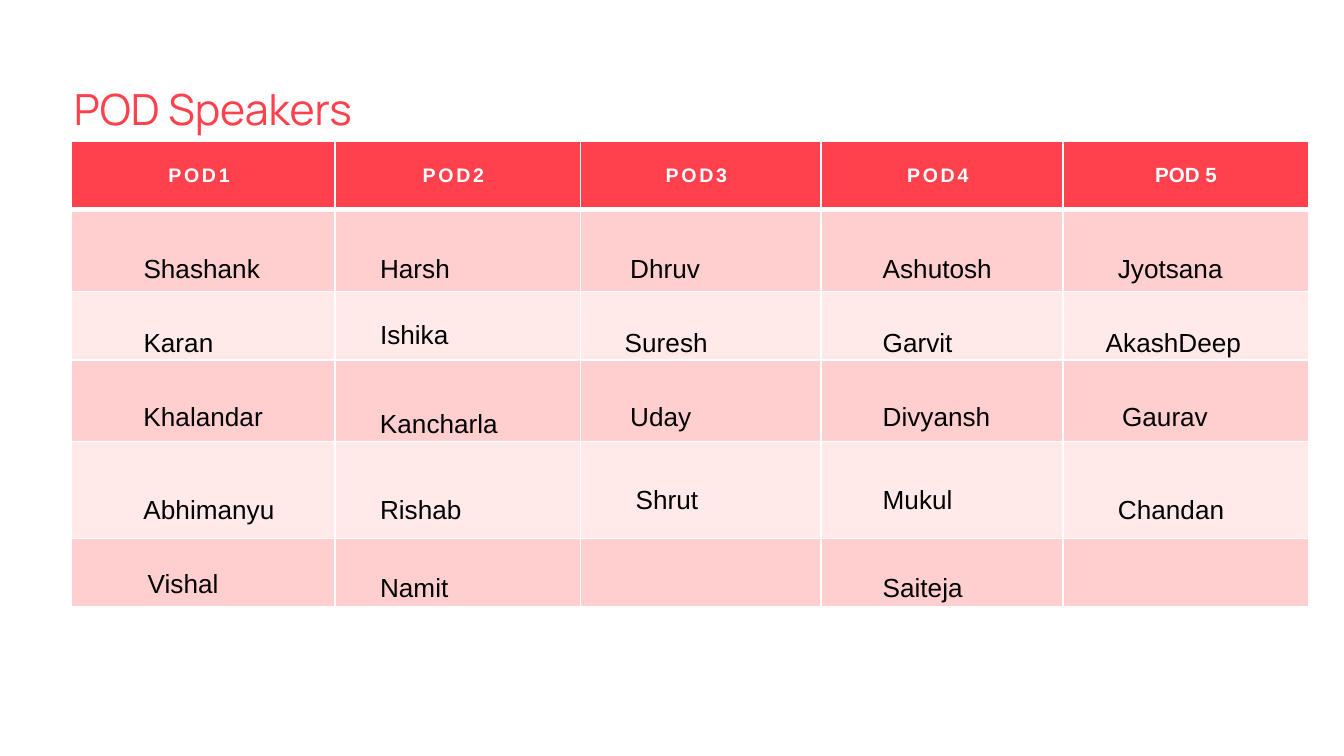
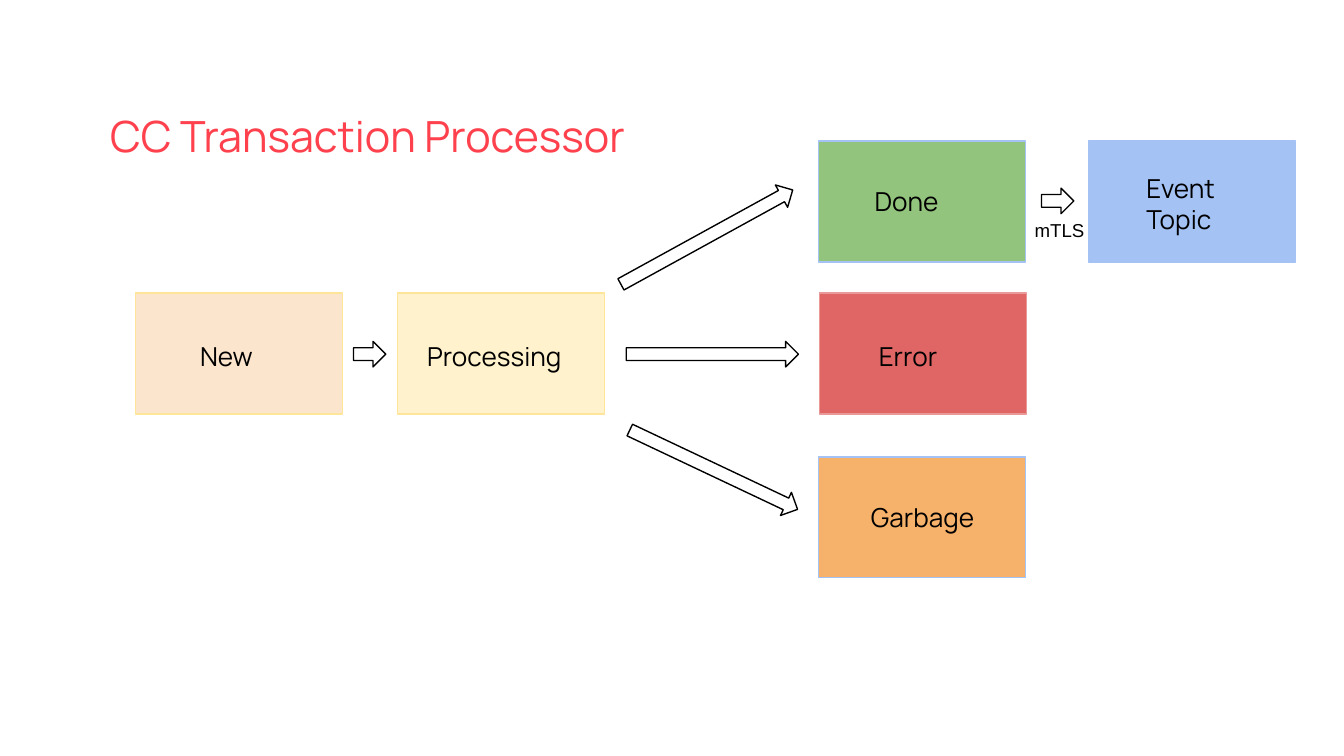
from itertools import accumulate

from lxml import etree
from pptx import Presentation
from pptx.dml.color import RGBColor
from pptx.enum.shapes import MSO_SHAPE
from pptx.enum.text import MSO_ANCHOR, PP_ALIGN
from pptx.oxml.ns import qn
from pptx.util import Pt

RECTANGLE = MSO_SHAPE.RECTANGLE
RIGHT_ARROW = MSO_SHAPE.RIGHT_ARROW
MIDDLE = MSO_ANCHOR.MIDDLE
CENTER = PP_ALIGN.CENTER
BLANK_LAYOUT = 6

COLORS = {
    "red": "FE414D", "band_dark": "FFCFD0", "band_light": "FFE9E9",
    "white": "FFFFFF", "black": "000000",
    "peach": "FCE5CD", "cream": "FFF2CC", "yellow": "FFE599",
    "green": "93C47D", "blue": "A4C2F4", "brick": "E06666",
    "pink": "EA9999", "orange": "F6B26B",
}
TITLE_FONT, BODY_FONT = "Manrope", "Arial"

# Speakers: pod heading -> (left edge of the names, names from top to bottom)
PODS = {
    "POD1": (69.8, ["Shashank", "Karan", "Khalandar", "Abhimanyu", "Vishal"]),
    "POD2": (196.5, ["Harsh", "Ishika", "Kancharla", "Rishab", "Namit"]),
    "POD3": (330.5, ["Dhruv", "Suresh", "Uday", "Shrut"]),
    "POD4": (465.8, ["Ashutosh", "Garvit", "Divyansh", "Mukul", "Saiteja"]),
    "POD 5": (591.8, ["Jyotsana", "AkashDeep", "Gaurav", "Chandan"]),
}
NAME_TOPS = [131.8, 171.4, 211, 260.6, 302.4]
NUDGES = {
    "Vishal": (2.2, -2.2), "Ishika": (0, -4.3), "Kancharla": (0, 3.6),
    "Suresh": (-2.9, 0), "Shrut": (2.9, -5), "Mukul": (0, -5),
    "AkashDeep": (-6.5, 0), "Gaurav": (2.2, 0),
}
TABLE_LEFT, TABLE_TOP = 38.4, 75.8
COLUMN_WIDTHS = [141, 131.6, 128.8, 129.8, 131.6]
ROW_HEIGHTS = [36.6, 43.8, 36.6, 43.8, 52, 36.6]

# Stages: label, left, top, fill, line, label offset (x, y), label width
STAGE_SIZE = (110.9, 64.8)
STAGES = [
    ("New", 72.7, 157, "peach", "yellow", (27.4, 18), 50.4),
    ("Processing", 213.1, 157, "cream", "yellow", (8.6, 18), 98.6),
    ("Done", 438.5, 75.6, "green", "blue", (23, 16.6), 64),
    ("Error", 439.2, 157, "brick", "pink", (24.5, 18), 60),
    ("Garbage", 438.5, 244.8, "orange", "blue", (21, 16.6), 79.2),
    ("Event Topic", 583.2, 75.6, "blue", "blue", (23.8, 9.4), 83.5),
]
# Arrows: left, top, width, rotation
ARROW_HEIGHT = 13.7
ARROWS = [
    (189.4, 182.9, 17.3, 0),
    (335.5, 182.9, 92.2, 0),
    (326.2, 120.2, 105, 331.2),
    (332.6, 244.8, 99.4, 25.3),
    (558, 100.8, 17.3, 0),
]


def color(name):
    return RGBColor.from_string(COLORS[name])


def add_run(paragraph, text, font=BODY_FONT, size=14, fill="black", bold=False, spacing=0):
    run = paragraph.add_run()
    run.text = text
    run.font.name = font
    run.font.size = Pt(size)
    run.font.bold = bold
    run.font.color.rgb = color(fill)
    if spacing:
        run._r.get_or_add_rPr().set("spc", str(int(spacing * 100)))


def add_text(slide, text, left, top, width, height, insets=(7.2, 3.6), line_spacing=None, **style):
    box = slide.shapes.add_textbox(Pt(left), Pt(top), Pt(width), Pt(height))
    frame = box.text_frame
    frame.word_wrap = True
    frame.margin_left = frame.margin_right = Pt(insets[0])
    frame.margin_top = frame.margin_bottom = Pt(insets[1])
    paragraph = frame.paragraphs[0]
    if line_spacing:
        paragraph.line_spacing = line_spacing
    add_run(paragraph, text, **style)


def add_title(slide, text, left, top, width):
    add_text(slide, text, left, top, width, 40, insets=(0, 0), line_spacing=1.83,
             font=TITLE_FONT, size=23, fill="red")


def add_shape(slide, kind, left, top, width, height, fill, line):
    shape = slide.shapes.add_shape(kind, Pt(left), Pt(top), Pt(width), Pt(height))
    shape.shadow.inherit = False
    shape.fill.solid()
    shape.fill.fore_color.rgb = color(fill)
    shape.line.color.rgb = color(line)
    shape.line.width = Pt(0.75)
    return shape


def set_borders(cell, **widths):
    """Draw white borders; widths are in points for L, R, T and B."""
    properties = cell._tc.get_or_add_tcPr()
    for side in "LRTB":
        border = etree.SubElement(properties, qn(f"a:ln{side}"), w=str(Pt(widths.get(side, 1))))
        fill = etree.SubElement(border, qn("a:solidFill"))
        etree.SubElement(fill, qn("a:srgbClr"), val=COLORS["white"])


def add_pod_table(slide):
    frame = slide.shapes.add_table(
        len(ROW_HEIGHTS), len(COLUMN_WIDTHS), Pt(TABLE_LEFT), Pt(TABLE_TOP),
        Pt(sum(COLUMN_WIDTHS)), Pt(sum(ROW_HEIGHTS)))
    table = frame.table
    table.horz_banding = False
    for column, width in zip(table.columns, COLUMN_WIDTHS):
        column.width = Pt(width)
    for index, (row, height) in enumerate(zip(table.rows, ROW_HEIGHTS)):
        row.height = Pt(height)
        band = "red" if index == 0 else "band_dark" if index % 2 else "band_light"
        for cell in row.cells:
            set_borders(cell, T=3 if index == 1 else 1, B=3 if index == 0 else 1)
            cell.fill.solid()
            cell.fill.fore_color.rgb = color(band)
    for cell, heading in zip(table.rows[0].cells, PODS):
        cell.vertical_anchor = MIDDLE
        cell.margin_left = cell.margin_right = cell.margin_top = cell.margin_bottom = 0
        paragraph = cell.text_frame.paragraphs[0]
        paragraph.alignment = CENTER
        if " " in heading:
            add_run(paragraph, heading, size=11, fill="white", bold=True)
        else:
            add_run(paragraph, heading, size=10.5, fill="white", bold=True, spacing=1.5)
            add_run(paragraph, " ", size=11, fill="white", bold=True)


def build_speakers(slide):
    add_title(slide, "POD Speakers", 39.6, 21.6, 265.7)
    add_pod_table(slide)
    for left, names in PODS.values():
        for name, top in zip(names, NAME_TOPS):
            shift_x, shift_y = NUDGES.get(name, (0, 0))
            add_text(slide, name, left + shift_x, top + shift_y,
                     105 if len(name) > 8 else 82, 24.5)


def build_processor(slide):
    add_title(slide, "CC Transaction Processor", 59, 36, 400)
    for label, left, top, fill, line, (shift_x, shift_y), width in STAGES:
        add_shape(slide, RECTANGLE, left, top, *STAGE_SIZE, fill, line)
        add_text(slide, label, left + shift_x, top + shift_y, width, 31,
                 insets=(7.2, 7.2), font=TITLE_FONT)
    for left, top, width, rotation in ARROWS:
        arrow = add_shape(slide, RIGHT_ARROW, left, top, width, ARROW_HEIGHT, "white", "black")
        arrow.rotation = rotation
    add_text(slide, "mTLS", 547.2, 113.8, 56.2, 19.4, size=10)


def main():
    presentation = Presentation()
    presentation.slide_width, presentation.slide_height = Pt(720), Pt(405)
    for build in (build_speakers, build_processor):
        build(presentation.slides.add_slide(presentation.slide_layouts[BLANK_LAYOUT]))
    presentation.save("out.pptx")


if __name__ == "__main__":
    main()
